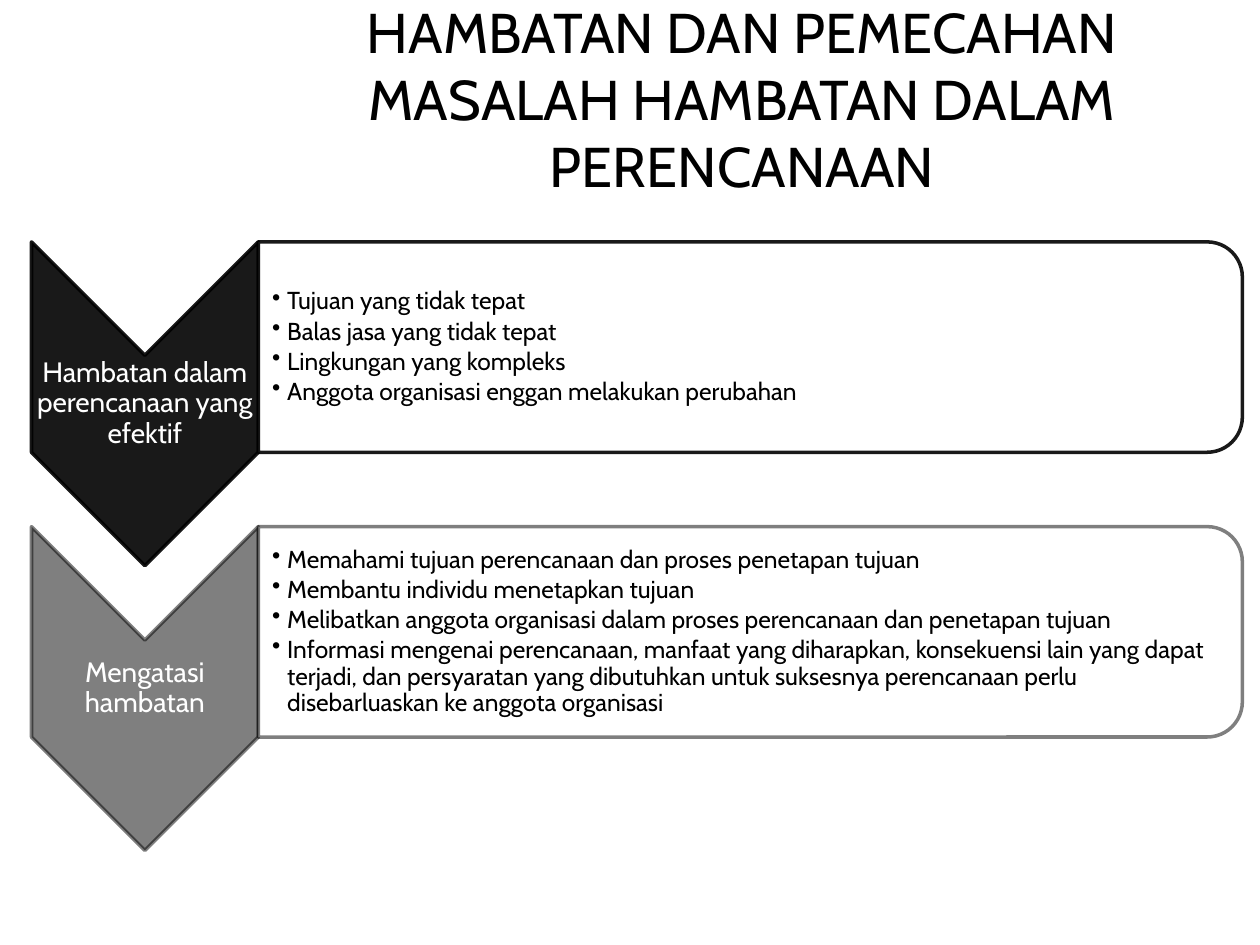
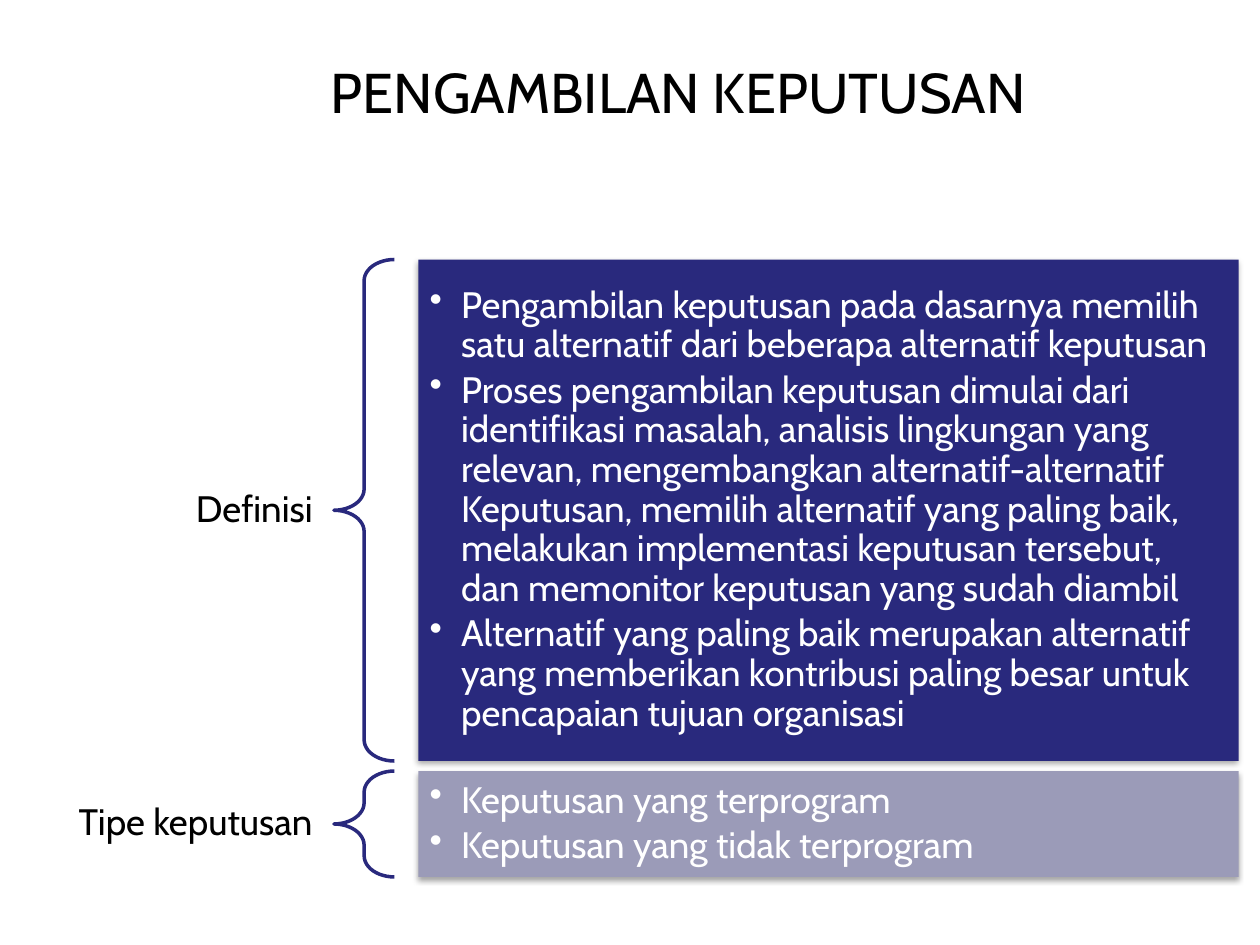
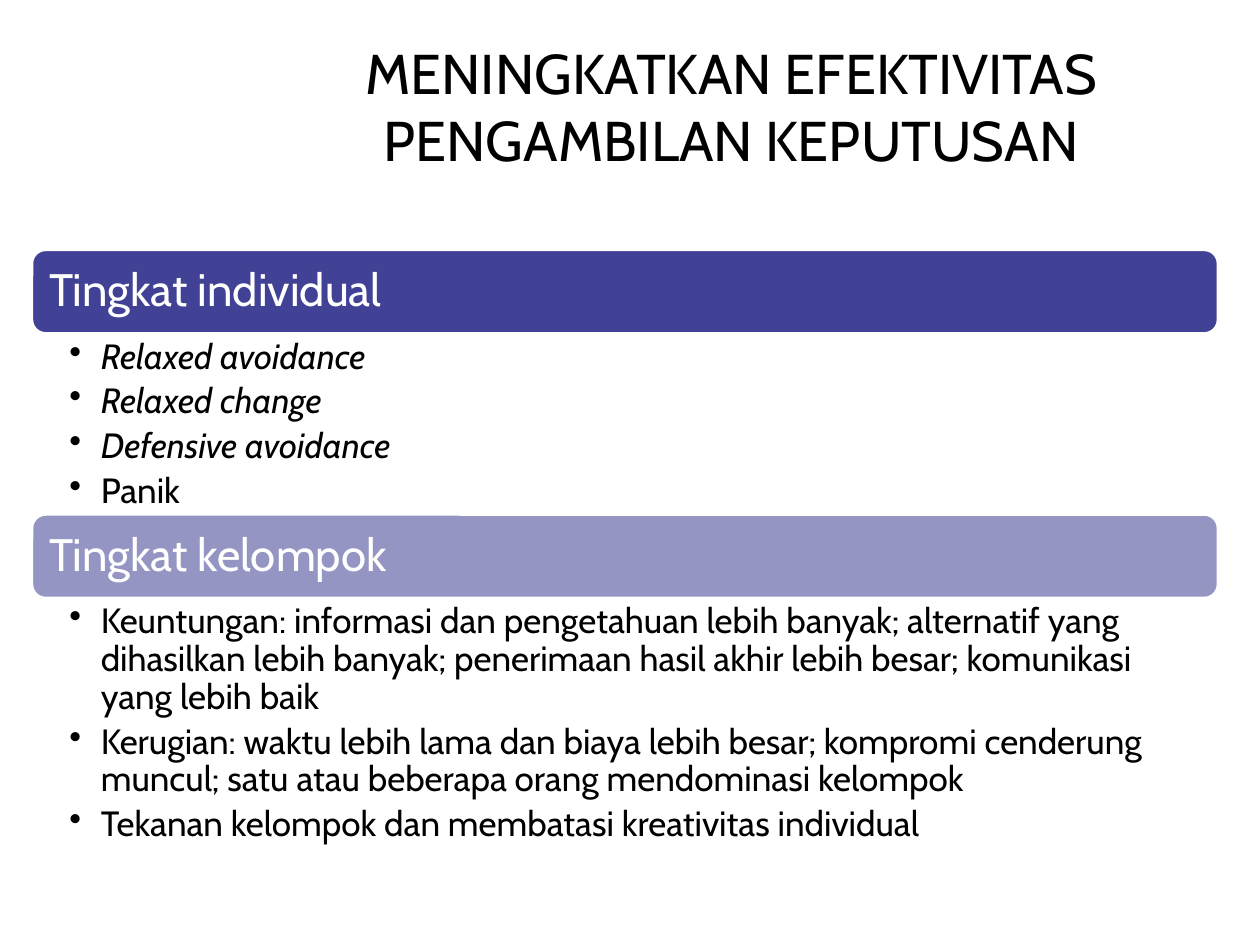
import pptx
import pptx.dml.color
import pptx.enum.shapes
import pptx.enum.text
import pptx.oxml.ns
import pptx.util
from lxml import etree

Inches = pptx.util.Inches
Pt = pptx.util.Pt
SHAPE = pptx.enum.shapes.MSO_SHAPE
ALIGN = pptx.enum.text.PP_ALIGN
ANCHOR = pptx.enum.text.MSO_ANCHOR
qn = pptx.oxml.ns.qn

FONT = "Cabin"
BLACK, WHITE = "000000", "FFFFFF"
NAVY, INDIGO, LAVENDER = "29297D", "2D2D8A", "9B9BB8"

OBSTACLES = {
    "title": "HAMBATAN DAN PEMECAHAN MASALAH HAMBATAN DALAM PERENCANAAN",
    "title_box": (1.92, 0.21, 7.94, 1.14),
    "rows": [
        ("Hambatan dalam perencanaan yang efektif", 90, [
            "Tujuan yang tidak tepat",
            "Balas jasa yang tidak tepat",
            "Lingkungan yang kompleks",
            "Anggota organisasi enggan melakukan perubahan",
        ]),
        ("Mengatasi hambatan", 50, [
            "Memahami tujuan perencanaan dan proses penetapan tujuan",
            "Membantu individu menetapkan tujuan",
            "Melibatkan anggota organisasi dalam proses perencanaan dan penetapan tujuan",
            "Informasi mengenai perencanaan, manfaat yang diharapkan, konsekuensi lain "
            "yang dapat terjadi, dan persyaratan yang dibutuhkan untuk suksesnya "
            "perencanaan perlu disebarluaskan ke anggota organisasi",
        ]),
    ],
}

DECISIONS = {
    "title": "PENGAMBILAN KEPUTUSAN",
    "title_box": (1.75, 0.2, 7.27, 1.05),
    "rows": [
        ("Definisi", NAVY, 3.98, [
            "Pengambilan keputusan pada dasarnya memilih satu alternatif dari beberapa "
            "alternatif keputusan",
            "Proses pengambilan keputusan dimulai dari identifikasi masalah, analisis "
            "lingkungan yang relevan, mengembangkan alternatif-alternatif Keputusan, "
            "memilih alternatif yang paling baik, melakukan implementasi keputusan "
            "tersebut, dan memonitor keputusan yang sudah diambil",
            "Alternatif yang paling baik merupakan alternatif yang memberikan kontribusi "
            "paling besar untuk pencapaian tujuan organisasi",
        ]),
        ("Tipe keputusan", LAVENDER, 0.84, [
            "Keputusan yang terprogram",
            "Keputusan yang tidak terprogram",
        ]),
    ],
}

EFFECTIVENESS = {
    "title": "MENINGKATKAN EFEKTIVITAS PENGAMBILAN KEPUTUSAN",
    "title_box": (2.17, 0.31, 7.27, 1.05),
    "italic": {"Relaxed avoidance", "Relaxed change", "Defensive avoidance"},
    "rows": [
        ("Tingkat individual", 90, 1.43, [
            "Relaxed avoidance",
            "Relaxed change",
            "Defensive avoidance",
            "Panik",
        ]),
        ("Tingkat kelompok", 50, 1.94, [
            "Keuntungan: informasi dan pengetahuan lebih banyak; alternatif yang "
            "dihasilkan lebih banyak; penerimaan hasil akhir lebih besar; komunikasi "
            "yang lebih baik",
            "Kerugian: waktu lebih lama dan biaya lebih besar; kompromi cenderung "
            "muncul; satu atau beberapa orang mendominasi kelompok",
            "Tekanan kelompok dan membatasi kreativitas individual",
        ]),
    ],
}


def rgb(value):
    return pptx.dml.color.RGBColor.from_string(value)


def paint(fill, color, opacity=100):
    fill.solid()
    fill.fore_color.rgb = rgb(color)
    if opacity < 100:
        color_element = fill._xPr.find(qn("a:solidFill"))[0]
        etree.SubElement(color_element, qn("a:alpha"), val=str(opacity * 1000))


def add_figure(slide, kind, box, fill=None, line=None, fill_opacity=100,
               line_opacity=100, turned=False):
    """Add a preset shape; a turned one is rotated 90 degrees to fill the box."""
    left, top, width, height = box
    if turned:
        left, top = left + (width - height) / 2, top + (height - width) / 2
        width, height = height, width
    shape = slide.shapes.add_shape(kind, *map(Inches, (left, top, width, height)))
    shape.rotation = 90 if turned else 0
    shape.shadow.inherit = False
    if fill:
        paint(shape.fill, fill, fill_opacity)
    else:
        shape.fill.background()
    if line:
        shape.line.width = Pt(2)
        paint(shape.line.fill, line, line_opacity)
    else:
        shape.line.fill.background()
    return shape


def add_soft_shadow(shape):
    effects = shape._element.spPr.find(qn("a:effectLst"))
    shadow = etree.SubElement(effects, qn("a:outerShdw"), blurRad=str(Pt(3.1)),
                              dist=str(Pt(1.8)), dir="5400000", rotWithShape="0")
    color = etree.SubElement(shadow, qn("a:srgbClr"), val=BLACK)
    etree.SubElement(color, qn("a:alpha"), val="35000")


def add_text(slide, box, texts, size, color=BLACK, align=ALIGN.LEFT,
             anchor=ANCHOR.MIDDLE, insets=(0.01,) * 4, spacing=0.9, after=0.35,
             bullet_indent=0, italic=()):
    """Add a text box; after is the paragraph gap as a share of the size."""
    frame = slide.shapes.add_textbox(*map(Inches, box)).text_frame
    frame.word_wrap = True
    frame.vertical_anchor = anchor
    (frame.margin_left, frame.margin_top,
     frame.margin_right, frame.margin_bottom) = map(Inches, insets)
    for index, text in enumerate(texts):
        paragraph = frame.add_paragraph() if index else frame.paragraphs[0]
        paragraph.text = text
        if bullet_indent:
            properties = paragraph._p.get_or_add_pPr()
            properties.set("marL", str(Inches(bullet_indent)))
            properties.set("indent", str(-Inches(bullet_indent)))
            etree.SubElement(properties, qn("a:buChar"), char="•")
        paragraph.alignment = align
        paragraph.line_spacing = spacing
        paragraph.space_after = Pt(size * after)
        paragraph.font.name = FONT
        paragraph.font.size = Pt(size)
        paragraph.font.color.rgb = rgb(color)
        paragraph.font.italic = text in italic


def add_titled_slide(presentation, content):
    slide = presentation.slides.add_slide(presentation.slide_layouts[6])
    paint(slide.background.fill, WHITE)
    add_text(slide, content["title_box"], [content["title"]], 32, align=ALIGN.CENTER,
             insets=(0.04,) * 4, spacing=1.0, after=0)
    return slide


def build_obstacles(presentation):
    slide = add_titled_slide(presentation, OBSTACLES)
    left, first_top, pitch = 0.25, 1.92, 2.26
    arrow_width, arrow_height, panel_width, panel_height = 1.8, 2.57, 7.81, 1.67
    label_height, panel_inset = 0.77, 0.08
    panel_left = left + arrow_width
    for index, (label, opacity, points) in enumerate(OBSTACLES["rows"]):
        top = first_top + index * pitch
        add_figure(slide, SHAPE.CHEVRON, (left, top, arrow_width, arrow_height), BLACK,
                   BLACK, opacity, opacity, turned=True)
        label_top = top + (arrow_height - label_height) / 2
        add_text(slide, (left, label_top, arrow_width, label_height), [label], 16,
                 WHITE, ALIGN.CENTER)
        add_figure(slide, SHAPE.ROUND_2_SAME_RECTANGLE,
                   (panel_left, top, panel_width, panel_height), WHITE, BLACK, 90,
                   opacity, turned=True)
        add_text(slide, (panel_left, top + panel_inset, panel_width - panel_inset,
                         panel_height - 2 * panel_inset), points, 14,
                 insets=(0.11, 0.01, 0.01, 0.01), after=0.15, bullet_indent=0.12)


def build_decisions(presentation):
    slide = add_titled_slide(presentation, DECISIONS)
    top, gap, label_height = 2.06, 0.08, 0.45
    for label, color, height, points in DECISIONS["rows"]:
        label_top = top + (height - label_height) / 2
        add_text(slide, (0.25, label_top, 2.39, label_height), [label], 21,
                 align=ALIGN.RIGHT, insets=(0.16, 0.06, 0.16, 0.06))
        brace = add_figure(slide, SHAPE.LEFT_BRACE, (2.65, top, 0.48, height), line=NAVY)
        brace.adjustments[0] = 0.35
        panel_box = (3.32, top, 6.51, height)
        add_soft_shadow(add_figure(slide, SHAPE.RECTANGLE, panel_box, color))
        add_text(slide, panel_box, points, 21, WHITE, insets=(0.09,) * 4, after=0.15,
                 bullet_indent=0.25)
        top += height + gap


def build_effectiveness(presentation):
    slide = add_titled_slide(presentation, EFFECTIVENESS)
    left, top, width, band_height, inset = 0.25, 1.98, 9.42, 0.67, 0.03
    for heading, opacity, list_height, points in EFFECTIVENESS["rows"]:
        add_figure(slide, SHAPE.ROUNDED_RECTANGLE, (left, top, width, band_height),
                   INDIGO, WHITE, opacity)
        add_text(slide, (left + inset, top + inset, width - 2 * inset,
                         band_height - 2 * inset), [heading], 26, WHITE,
                 insets=(0.11,) * 4)
        top += band_height
        add_text(slide, (left, top, width, list_height), points, 20,
                 anchor=ANCHOR.TOP, insets=(0.3, 0.04, 0.2, 0.04), after=0.2,
                 bullet_indent=0.25, italic=EFFECTIVENESS["italic"])
        top += list_height


def main():
    presentation = pptx.Presentation()
    presentation.slide_width, presentation.slide_height = Inches(10), Inches(7.5)
    build_obstacles(presentation)
    build_decisions(presentation)
    build_effectiveness(presentation)
    presentation.save("out.pptx")


if __name__ == "__main__":
    main()
